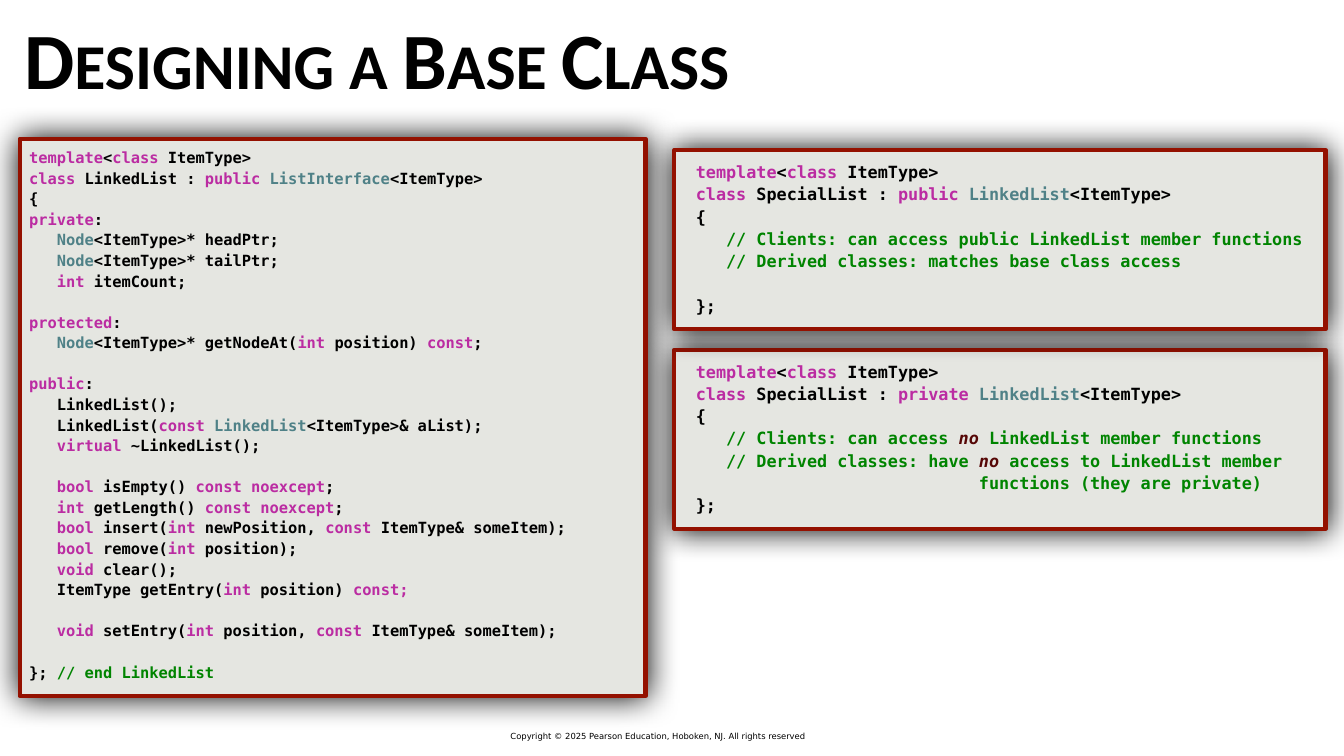
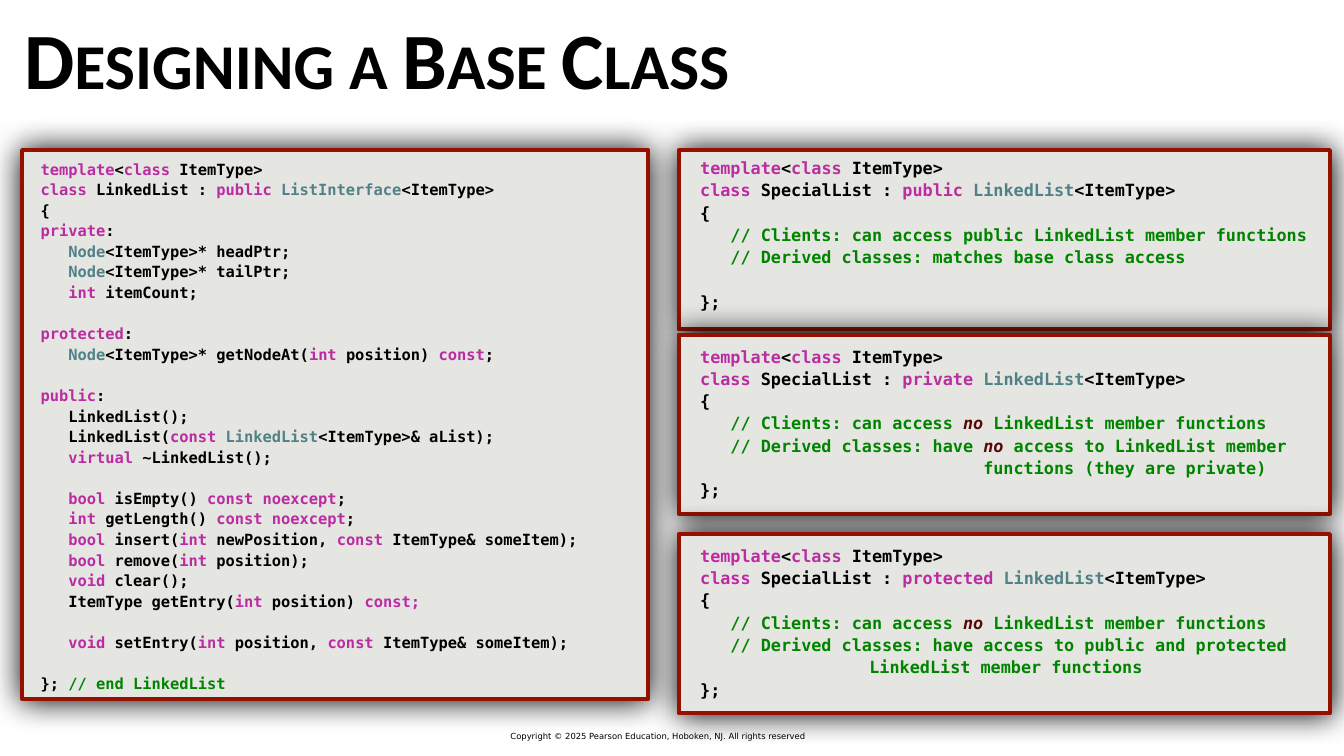
from dataclasses import dataclass
from itertools import groupby

from lxml import etree
from pptx import Presentation
from pptx.dml.color import RGBColor
from pptx.enum import shapes, text
from pptx.oxml.ns import qn
from pptx.util import Cm, Pt


@dataclass(frozen=True)
class Theme:
    black: str = "000000"
    panel_fill: str = "E5E6E1"
    panel_line: str = "941100"
    keyword: str = "BB2CA2"
    type_name: str = "4F8187"
    comment: str = "008400"
    emphasis: str = "560706"
    title_font: str = "Calibri"
    footer_font: str = "DejaVu Sans"
    code_font: str = "DejaVu Sans Mono"
    title_size: int = 114
    footer_size: int = 12
    long_code_size: int = 22
    short_code_size: int = 24
    panel_line_width: int = 6
    shadow_blur: int = 45


THEME = Theme()

TITLE = "Designing a Base Class"
FOOTER = "Copyright © 2025 Pearson Education, Hoboken, NJ. All rights reserved"

KEYWORDS = set(
    "template class public private protected int bool void const noexcept virtual".split()
)

# Backquotes force the keyword colour; a leading tab marks a continued comment.
LINKED_LIST = """template<class ItemType>
class LinkedList : public ListInterface<ItemType>
{
private:
   Node<ItemType>* headPtr;
   Node<ItemType>* tailPtr;
   int itemCount;

protected:
   Node<ItemType>* getNodeAt(int position) const;

public:
   LinkedList();
   LinkedList(const LinkedList<ItemType>& aList);
   virtual ~LinkedList();

   bool isEmpty() const noexcept;
   int getLength() const noexcept;
   bool insert(int newPosition, const ItemType& someItem);
   bool remove(int position);
   void clear();
   ItemType getEntry(int position) `const;`

   void setEntry(int position, const ItemType& someItem);

}; // end LinkedList"""

SPECIAL_LIST = """template<class ItemType>
class SpecialList : {access} LinkedList<ItemType>
{{
   // Clients: can access {clients} LinkedList member functions
   // Derived classes: {derived}
{continued}
}};"""

PUBLIC_LIST = SPECIAL_LIST.format(
    access="public", clients="public", derived="matches base class access", continued=""
)
PRIVATE_LIST = SPECIAL_LIST.format(
    access="private", clients="no", derived="have no access to LinkedList member",
    continued="\tfunctions (they are private)",
)
PROTECTED_LIST = SPECIAL_LIST.format(
    access="protected", clients="no", derived="have access to public and protected",
    continued="\tLinkedList member functions",
)

PANEL_TOP = 7.57
LONG_WIDTH = 31.55
LONG_TEXT_SIZE = (30.61, 28.09)
SHORT_SIZE = (32.82, 9.02)
SHORT_TEXT_SIZE = (32.18, 8.51)
SHORT_TEXT_INSET = 0.6
PRIVATE_INDENT = 14.27
PROTECTED_INDENT = 8.53


def split_words(source):
    return ["".join(group) for _, group in groupby(source, str.isalnum)]


def code_colours(source):
    words = split_words(source)
    for word, following in zip(words, words[1:] + [""]):
        if word in KEYWORDS:
            yield word, THEME.keyword
        elif word.isalnum() and following.startswith("<"):
            yield word, THEME.type_name
        else:
            yield word, THEME.black


def comment_colours(source):
    for word in split_words(source):
        yield word, THEME.emphasis if word == "no" else THEME.comment


def highlight(line):
    """Return the (text, colour) runs of one line of C++."""
    if line.startswith("\t"):
        tokens = list(comment_colours(line.strip()))
    else:
        code, slashes, comment = line.partition("//")
        tokens = []
        for number, part in enumerate(code.split("`")):
            tokens += [(part, THEME.keyword)] if number % 2 else code_colours(part)
        tokens += comment_colours(slashes + comment)
    return [
        ("".join(word for word, _ in group), colour)
        for colour, group in groupby(tokens, lambda token: token[1])
    ]


def add_text(slide, box, lines, *, font, size, bold=False, small_caps=False,
             anchor=text.MSO_ANCHOR.TOP, insets=(0, 0), space_before=0, indents=None):
    """Write lines of (text, colour) runs; indents maps line numbers to margins."""
    frame = slide.shapes.add_textbox(*map(Cm, box)).text_frame
    frame.word_wrap = True
    frame.vertical_anchor = anchor
    frame.margin_left = frame.margin_right = Cm(insets[0])
    frame.margin_top = frame.margin_bottom = Cm(insets[1])
    for number, runs in enumerate(lines):
        paragraph = frame.paragraphs[0] if number == 0 else frame.add_paragraph()
        if number and space_before:
            paragraph.space_before = Pt(space_before)
        if indents and number in indents:
            properties = paragraph._p.get_or_add_pPr()
            properties.set("marL", str(Cm(indents[number])))
            properties.set("indent", "0")
        for content, colour in runs:
            run = paragraph.add_run()
            run.text = content
            run.font.name = font
            run.font.size = Pt(size)
            run.font.bold = bold
            run.font.italic = colour == THEME.emphasis
            run.font.color.rgb = RGBColor.from_string(colour)
            if small_caps:
                run.font._element.set("cap", "small")
        if not runs:
            end = etree.SubElement(paragraph._p, qn("a:endParaRPr"), sz=str(size * 100))
            etree.SubElement(end, qn("a:latin"), typeface=font)


def add_shadow(shape):
    shape.shadow.inherit = False
    effects = shape._element.spPr.find(qn("a:effectLst"))
    shadow = etree.SubElement(effects, qn("a:outerShdw"), blurRad=str(Pt(THEME.shadow_blur)),
                              dist="0", dir="0", rotWithShape="0")
    etree.SubElement(shadow, qn("a:srgbClr"), val=THEME.black)


def add_panel(slide, box):
    panel = slide.shapes.add_shape(shapes.MSO_SHAPE.RECTANGLE, *map(Cm, box))
    panel.fill.solid()
    panel.fill.fore_color.rgb = RGBColor.from_string(THEME.panel_fill)
    panel.line.color.rgb = RGBColor.from_string(THEME.panel_line)
    panel.line.width = Pt(THEME.panel_line_width)
    add_shadow(panel)


def add_code(slide, box, source, size, indent=0):
    lines = source.split("\n")
    indents = {n: indent for n, line in enumerate(lines) if line.startswith("\t")}
    add_text(slide, box, [highlight(line) for line in lines], font=THEME.code_font,
             size=size, bold=True, insets=(0.48, 0.48), space_before=3, indents=indents)


def add_linked_list(slide, left, top, height, text_left):
    add_panel(slide, (left, top, LONG_WIDTH, height))
    add_code(slide, (text_left, top, *LONG_TEXT_SIZE), LINKED_LIST, THEME.long_code_size)


def add_special_list(slide, left, top, source, indent=0, text_drop=0.1):
    add_panel(slide, (left, top, *SHORT_SIZE))
    box = (left + SHORT_TEXT_INSET, top + text_drop, *SHORT_TEXT_SIZE)
    add_code(slide, box, source, THEME.short_code_size, indent)


def add_slide(presentation):
    """Add a slide with the shared footer and title."""
    slide = presentation.slides.add_slide(presentation.slide_layouts[6])
    add_text(slide, (25.73, 36.8, 17.2, 0.61), [[(FOOTER, THEME.black)]],
             font=THEME.footer_font, size=THEME.footer_size,
             anchor=text.MSO_ANCHOR.MIDDLE, insets=(0, 0.05))
    add_text(slide, (1.02, 0, 59.94, 5.82), [[(TITLE, THEME.black)]],
             font=THEME.title_font, size=THEME.title_size, bold=True, small_caps=True,
             anchor=text.MSO_ANCHOR.MIDDLE, insets=(0.2, 0.2))
    return slide


def main():
    presentation = Presentation()
    presentation.slide_width = Cm(67.74)
    presentation.slide_height = Cm(38.1)

    slide = add_slide(presentation)
    add_linked_list(slide, 0.99, 6.99, 28.09, text_left=0.99)
    add_special_list(slide, 33.99, 17.63, PRIVATE_LIST, PRIVATE_INDENT)
    add_special_list(slide, 33.99, PANEL_TOP, PUBLIC_LIST)

    slide = add_slide(presentation)
    add_linked_list(slide, 1.12, PANEL_TOP, 27.64, text_left=1.57)
    add_special_list(slide, 34.21, PANEL_TOP, PUBLIC_LIST, text_drop=-0.1)
    add_special_list(slide, 34.21, 16.87, PRIVATE_LIST, PRIVATE_INDENT)
    add_special_list(slide, 34.21, 26.92, PROTECTED_LIST, PROTECTED_INDENT)

    presentation.save("out.pptx")


if __name__ == "__main__":
    main()
